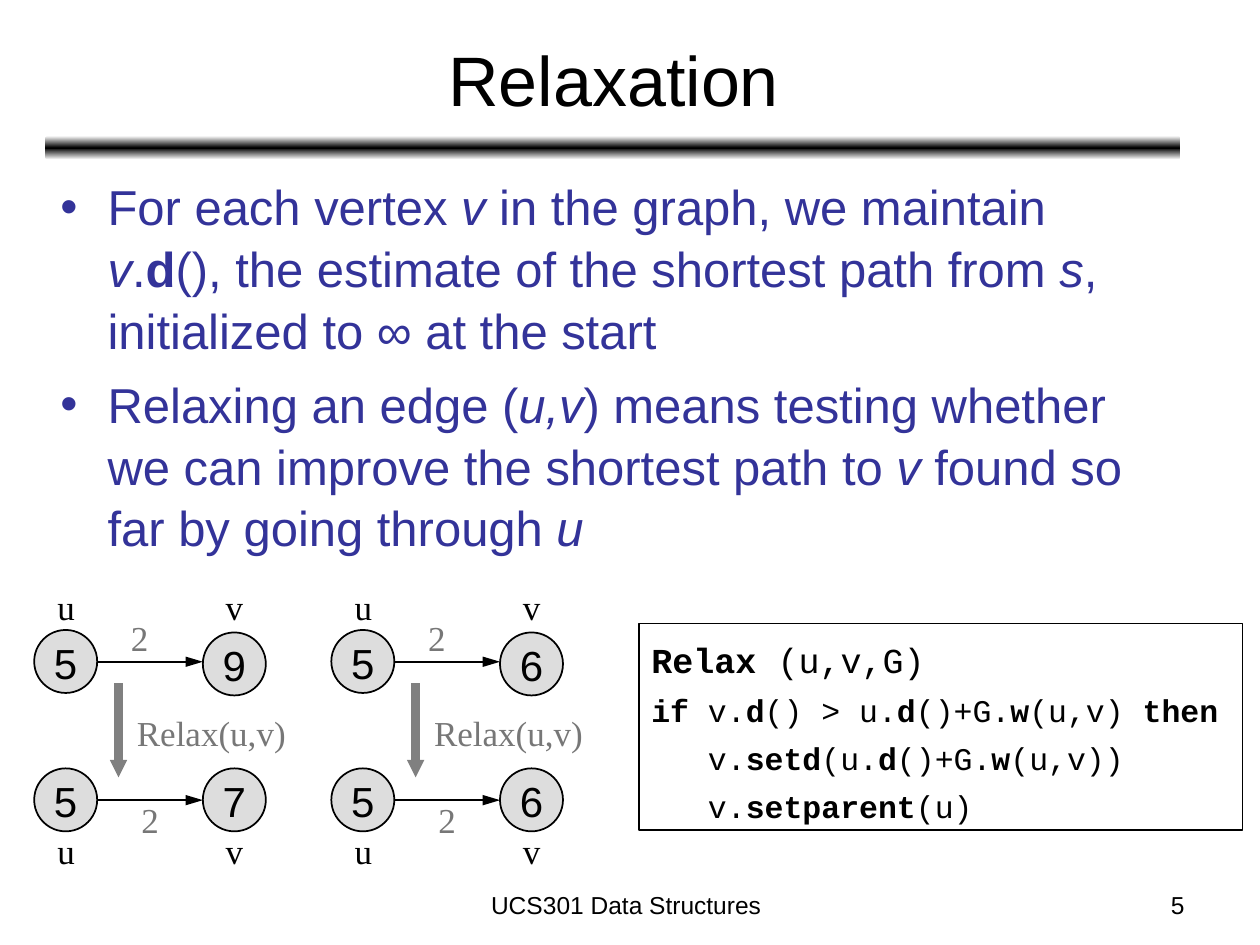
from copy import deepcopy

from lxml.etree import SubElement
from pptx import Presentation
from pptx.dml.color import RGBColor
from pptx.enum.shapes import MSO_CONNECTOR, MSO_SHAPE
from pptx.enum.text import MSO_ANCHOR, PP_ALIGN
from pptx.oxml.ns import qn
from pptx.util import Cm, Pt

BLACK, GRAY, BLUE = "000000", "777777", "333399"
SERIF, SANS, MONO = "Times New Roman", "Arial", "Courier New"


def write(shape, lines, font, size, color=BLACK, align=PP_ALIGN.LEFT, gap=0, bullet=False):
    """Fill a shape with lines in which *...* is bold and ~...~ is italic."""
    frame = shape.text_frame
    frame.word_wrap = True
    for number, line in enumerate(lines):
        paragraph = frame.add_paragraph() if number else frame.paragraphs[0]
        paragraph.alignment = align
        paragraph.line_spacing = 1.05
        paragraph.space_before = Pt(gap if number else 0)
        if bullet:
            properties = paragraph._p.get_or_add_pPr()
            properties.set("marL", str(Cm(0.95)))
            properties.set("indent", str(-Cm(0.95)))
            SubElement(properties, qn("a:buFont"), typeface=SANS)
            SubElement(properties, qn("a:buChar"), char="•")
        paragraph.font.name = font
        paragraph.font.size = Pt(size)
        paragraph.font.color.rgb = RGBColor.from_string(color)
        for bold, part in enumerate(line.split("*")):
            for italic, piece in enumerate(part.split("~")):
                if piece:
                    run = paragraph.add_run()
                    run.text = piece
                    if bold % 2:
                        run.font.bold = True
                    if italic % 2:
                        run.font.italic = True


def add_arrow(x1, y1, x2, y2, color, width, head_width, head_length):
    arrow = slide.shapes.add_connector(MSO_CONNECTOR.STRAIGHT, Cm(x1), Cm(y1), Cm(x2), Cm(y2))
    arrow.line.color.rgb = RGBColor.from_string(color)
    arrow.line.width = Pt(width)
    SubElement(arrow.line._get_or_add_ln(), qn("a:tailEnd"),
               type="triangle", w=head_width, len=head_length)
    SubElement(arrow._element.spPr, qn("a:effectLst"))


presentation = Presentation()
presentation.slide_width, presentation.slide_height = Cm(25.4), Cm(19.05)
slide = presentation.slides.add_slide(presentation.slide_layouts[5])

# Title and the shaded rule below it
rule = slide.shapes.add_shape(MSO_SHAPE.ROUNDED_RECTANGLE, Cm(0.91), Cm(2.74), Cm(22.89), Cm(0.48))
rule.shadow.inherit = False
rule.line.fill.background()
rule.fill.gradient()
rule.fill.gradient_angle = 90
stops = rule._element.spPr.find(qn("a:gradFill")).find(qn("a:gsLst"))
stops.insert(1, deepcopy(stops[0]))
for stop, position, color in zip(rule.fill.gradient_stops, (0, 0.5, 1), ("FFFFFF", BLACK, "FFFFFF")):
    stop.position = position
    stop.color.rgb = RGBColor.from_string(color)

title = slide.shapes.title
title.left, title.top, title.width, title.height = Cm(0.94), Cm(0.28), Cm(22.86), Cm(2.51)
title.text_frame.vertical_anchor = MSO_ANCHOR.MIDDLE
write(title, ["Relaxation"], SANS, 40, align=PP_ALIGN.CENTER)

body = slide.shapes.add_textbox(Cm(0.97), Cm(3.38), Cm(22.86), Cm(8.33))
write(body, [
    "For each vertex ~v ~in the graph, we maintain ~v~.*d*(), the estimate of "
    "the shortest path from ~s~, initialized to ∞ at the start",
    "Relaxing an edge (~u,v~) means testing whether we can improve the "
    "shortest path to ~v~ found so far by going through ~u~",
], SANS, 28, BLUE, gap=7, bullet=True)

# Two examples, each an edge before and after relaxing
for x, before, after in ((0.69, "9", "7"), (6.68, "6", "6")):
    circles = [(0, 12.7, "5"), (3.4, 12.75, before), (0, 15.49, "5"), (3.4, 15.49, after)]
    for offset, top, value in circles:
        circle = slide.shapes.add_shape(MSO_SHAPE.OVAL, Cm(x + offset), Cm(top), Cm(1.27), Cm(1.27))
        circle.shadow.inherit = False
        circle.fill.solid()
        circle.fill.fore_color.rgb = RGBColor.from_string("DDDDDD")
        circle.line.color.rgb = RGBColor.from_string(BLACK)
        circle.line.width = Pt(1)
        circle.text_frame.vertical_anchor = MSO_ANCHOR.MIDDLE
        write(circle, [value], SANS, 24, align=PP_ALIGN.CENTER)
        circle.text_frame.word_wrap = False

    for y in (13.34, 16.13):
        add_arrow(x + 1.27, y, x + 3.4, y, BLACK, 1, "med", "lg")
    add_arrow(x + 1.7, 13.77, x + 1.7, 15.67, "808080", 5, "sm", "sm")

    labels = [(0.22, top, 0.84, "u", BLACK) for top in (11.63, 16.56)]
    labels += [(3.61, top, 0.84, "v", BLACK) for top in (11.63, 16.56)]
    labels += [(1.7, 12.27, 1.27, "2", GRAY), (1.91, 15.93, 0.84, "2", GRAY),
               (1.82, 14.17, 3.81, "Relax(u,v)", GRAY)]
    for offset, top, width, text, color in labels:
        label = slide.shapes.add_textbox(Cm(x + offset), Cm(top), Cm(width), Cm(1.12))
        write(label, [text], SERIF, 20, color)

# Pseudocode
code = slide.shapes.add_shape(MSO_SHAPE.RECTANGLE, Cm(12.88), Cm(12.57), Cm(12.17), Cm(4.17))
code.shadow.inherit = False
code.fill.background()
code.line.color.rgb = RGBColor.from_string(BLACK)
code.line.width = Pt(1)
code.text_frame.vertical_anchor = MSO_ANCHOR.TOP
code.text_frame.margin_top = Cm(0.25)
write(code, [
    "*Relax *(u,v,G)",
    "*if *v.*d*() > u.*d*()+G.*w*(u,v) *then*",
    "   v.*setd*(u.*d*()+G.*w*(u,v))",
    "   v.*setparent*(u)",
], MONO, 18, gap=5)
code.text_frame.paragraphs[0].font.size = Pt(20)

# Footer
footer = slide.shapes.add_textbox(Cm(8.6), Cm(17.78), Cm(8.05), Cm(0.89))
write(footer, ["UCS301 Data Structures"], SANS, 14, align=PP_ALIGN.CENTER)
slide_number = slide.shapes.add_textbox(Cm(18.21), Cm(17.78), Cm(5.92), Cm(0.89))
write(slide_number, ["5"], SANS, 14, align=PP_ALIGN.RIGHT)

presentation.save("out.pptx")
